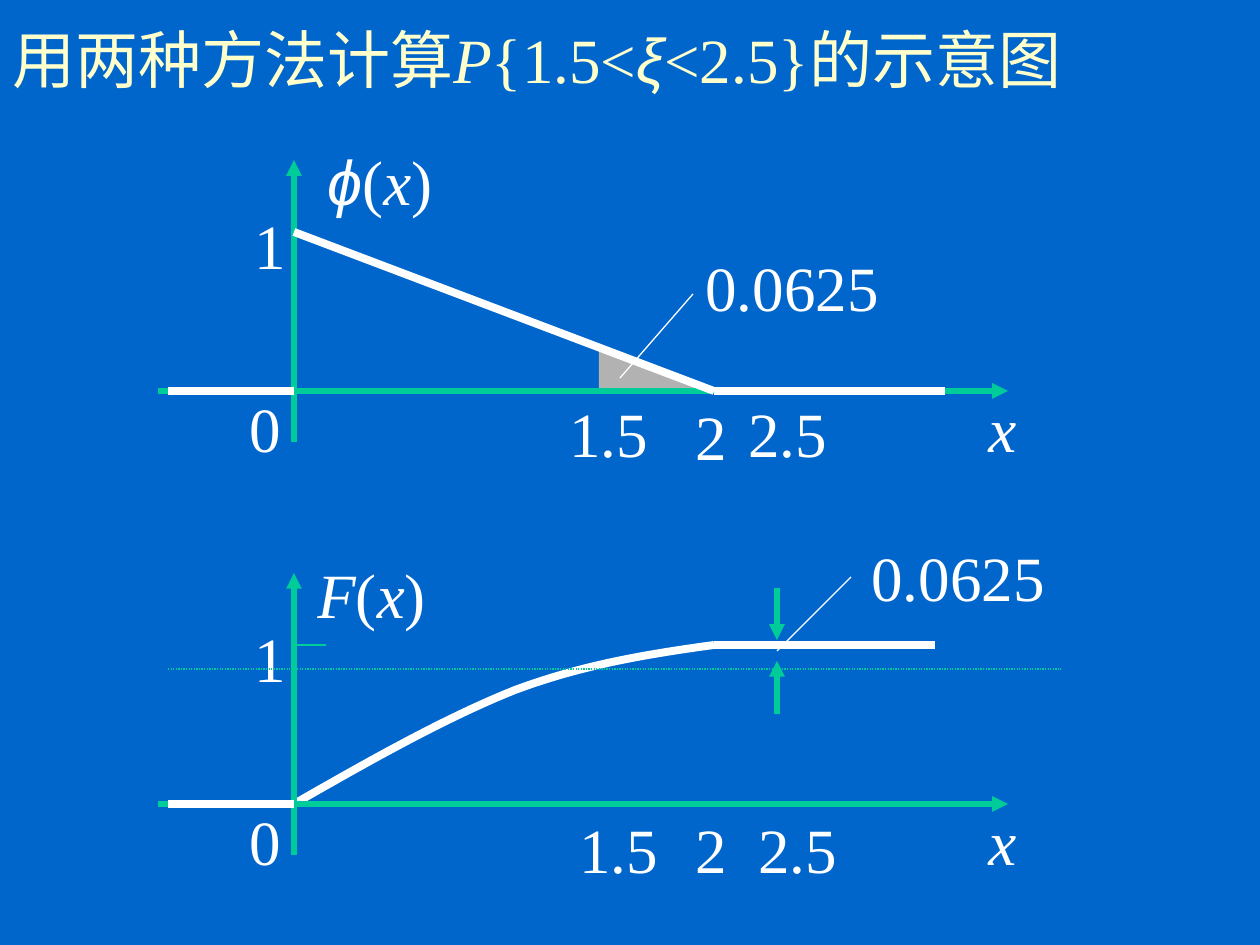
from lxml import etree
from pptx import Presentation
from pptx.dml.color import RGBColor
from pptx.enum.dml import MSO_LINE
from pptx.enum.shapes import MSO_CONNECTOR
from pptx.enum.text import MSO_ANCHOR, MSO_AUTO_SIZE
from pptx.oxml.ns import qn
from pptx.util import Pt

EMU_PER_PX = 914400 / 126
STRAIGHT = MSO_CONNECTOR.STRAIGHT
DOTTED = MSO_LINE.ROUND_DOT
MIDDLE = MSO_ANCHOR.MIDDLE
FIT_SHAPE = MSO_AUTO_SIZE.SHAPE_TO_FIT_TEXT

BLUE, CREAM, WHITE, GREEN, GREY = "0066CC", "FFFFCC", "FFFFFF", "00CC99", "B2B2B2"
SERIF, SANS = "Times New Roman", "Arial"
THIN, AXIS, CURVE = 0.75, 3, 4.5
LABEL_HEIGHT = 88
DIGIT_WIDTH, DECIMAL_WIDTH, VALUE_WIDTH = 57, 105, 199

# Places inside a plot box, in px
ORIGIN_X, ORIGIN_Y = 136, 255
ONE_Y, TWO_X = 96, 556


def px(length):
    return round(length * EMU_PER_PX)


def color(hex_string):
    return RGBColor.from_string(hex_string)


def add_runs(paragraph, runs, text_color):
    """Add (text, italic, font name) runs."""
    for text, italic, font_name in runs:
        run = paragraph.add_run()
        run.text = text
        run.font.name = font_name
        run.font.size = Pt(36)
        run.font.italic = italic
        run.font.color.rgb = color(text_color)


def add_title(slide, left, top, width, height):
    frame = slide.shapes.add_textbox(px(left), px(top), px(width), px(height)).text_frame
    frame.word_wrap = True
    frame.vertical_anchor = MIDDLE
    runs = [
        ("用两种方法计算", False, SERIF),
        ("P", True, SERIF),
        ("{1.5<", False, SERIF),
        ("ξ", True, SANS),
        ("<2.5}的示意图", False, SERIF),
    ]
    add_runs(frame.paragraphs[0], runs, CREAM)


class Plot:
    """Draws in px relative to the top left corner of a plot box."""

    def __init__(self, slide, left, top):
        self.shapes = slide.shapes
        self.left, self.top = left, top

    def place(self, x, y):
        return px(self.left + x), px(self.top + y)

    def line(self, start, end, line_color, width, arrow=False, dash=None):
        connector = self.shapes.add_connector(STRAIGHT, *self.place(*start), *self.place(*end))
        connector.line.color.rgb = color(line_color)
        connector.line.width = Pt(width)
        if dash is not None:
            connector.line.dash_style = dash
        properties = connector._element.spPr
        if arrow:
            etree.SubElement(properties.find(qn("a:ln")), qn("a:tailEnd"), type="triangle")
        etree.SubElement(properties, qn("a:effectLst"))

    def outline(self, points, close):
        placed = [self.place(*point) for point in points]
        builder = self.shapes.build_freeform(*placed[0], scale=1.0)
        builder.add_line_segments(placed[1:], close=close)
        shape = builder.convert_to_shape()
        shape.shadow.inherit = False
        return shape

    def label(self, x, y, width, runs):
        box = self.shapes.add_textbox(*self.place(x, y), px(width), px(LABEL_HEIGHT))
        box.text_frame.word_wrap = False
        box.text_frame.auto_size = FIT_SHAPE
        add_runs(box.text_frame.paragraphs[0], runs, WHITE)

    def number(self, x, y, width, text):
        self.label(x, y, width, [(text, False, SERIF)])

    def axes(self):
        """Both axes, the zero stretch left of the origin and the shared labels."""
        self.line((0, ORIGIN_Y), (850, ORIGIN_Y), GREEN, AXIS, arrow=True)
        self.line((ORIGIN_X, 306), (ORIGIN_X, 24), GREEN, AXIS, arrow=True)
        self.line((ORIGIN_X, ORIGIN_Y), (10, ORIGIN_Y), WHITE, CURVE)
        self.number(84, 64, DIGIT_WIDTH, "1")
        self.number(525, ORIGIN_Y, DIGIT_WIDTH, "2")
        self.number(79, 247, DIGIT_WIDTH, "0")
        self.label(818, 247, 53, [("x", True, SERIF)])

    def function_name(self, x, symbol, font_name):
        runs = [(symbol, True, font_name), ("(", False, SERIF),
                ("x", True, SERIF), (")", False, SERIF)]
        self.label(x, 0, 134, runs)


def bezier(start, control_1, control_2, end, steps=24):
    """Points of a cubic curve, without its start."""
    points = []
    for step in range(1, steps + 1):
        t = step / steps
        weights = ((1 - t) ** 3, 3 * t * (1 - t) ** 2, 3 * t * t * (1 - t), t ** 3)
        corners = (start, control_1, control_2, end)
        points.append(tuple(sum(w * corner[i] for w, corner in zip(weights, corners))
                            for i in (0, 1)))
    return points


def add_density_plot(slide, left, top):
    plot = Plot(slide, left, top)
    area = plot.outline([(441, 211), (545, 252), (441, 252)], close=True)
    area.fill.solid()
    area.fill.fore_color.rgb = color(GREY)
    area.line.fill.background()
    plot.axes()
    plot.line((ORIGIN_X, ONE_Y), (TWO_X, ORIGIN_Y), WHITE, CURVE)
    plot.line((TWO_X, ORIGIN_Y), (787, ORIGIN_Y), WHITE, CURVE)
    plot.function_name(157, "ϕ", SANS)
    plot.number(399, 252, DECIMAL_WIDTH, "1.5")
    plot.number(578, 252, DECIMAL_WIDTH, "2.5")
    plot.line((462, 242), (535, 158), WHITE, THIN)
    plot.number(535, 106, VALUE_WIDTH, "0.0625")


def add_distribution_plot(slide, left, top):
    plot = Plot(slide, left, top)
    start, middle, end = (ORIGIN_X, ORIGIN_Y), (357, 141), (TWO_X, ONE_Y)
    points = [start]
    points += bezier(start, (211, 212), (287, 169), middle)
    points += bezier(middle, (427, 115), (491, 105), end)
    curve = plot.outline(points, close=False)
    curve.fill.background()
    curve.line.color.rgb = color(WHITE)
    curve.line.width = Pt(CURVE)
    plot.axes()
    plot.line(end, (777, ONE_Y), WHITE, CURVE)
    plot.function_name(147, "F", SERIF)
    plot.line((ORIGIN_X, ONE_Y), (168, ONE_Y), GREEN, THIN)
    plot.number(409, ORIGIN_Y, DECIMAL_WIDTH, "1.5")
    plot.number(588, ORIGIN_Y, DECIMAL_WIDTH, "2.5")
    plot.line((10, 120), (903, 120), GREEN, THIN, dash=DOTTED)
    for tail_y, tip_y in ((39, 91), (165, 112)):
        plot.line((619, tail_y), (619, tip_y), GREEN, AXIS, arrow=True)
    plot.line((619, 102), (693, 28), WHITE, THIN)
    plot.number(701, -17, VALUE_WIDTH, "0.0625")


def main():
    presentation = Presentation()
    presentation.slide_width, presentation.slide_height = px(1260), px(945)
    slide = presentation.slides.add_slide(presentation.slide_layouts[6])
    slide.background.fill.solid()
    slide.background.fill.fore_color.rgb = color(BLUE)
    add_title(slide, 0, 0, 1229, 116)
    add_density_plot(slide, 158, 136)
    add_distribution_plot(slide, 158, 549)
    presentation.save("out.pptx")


if __name__ == "__main__":
    main()
